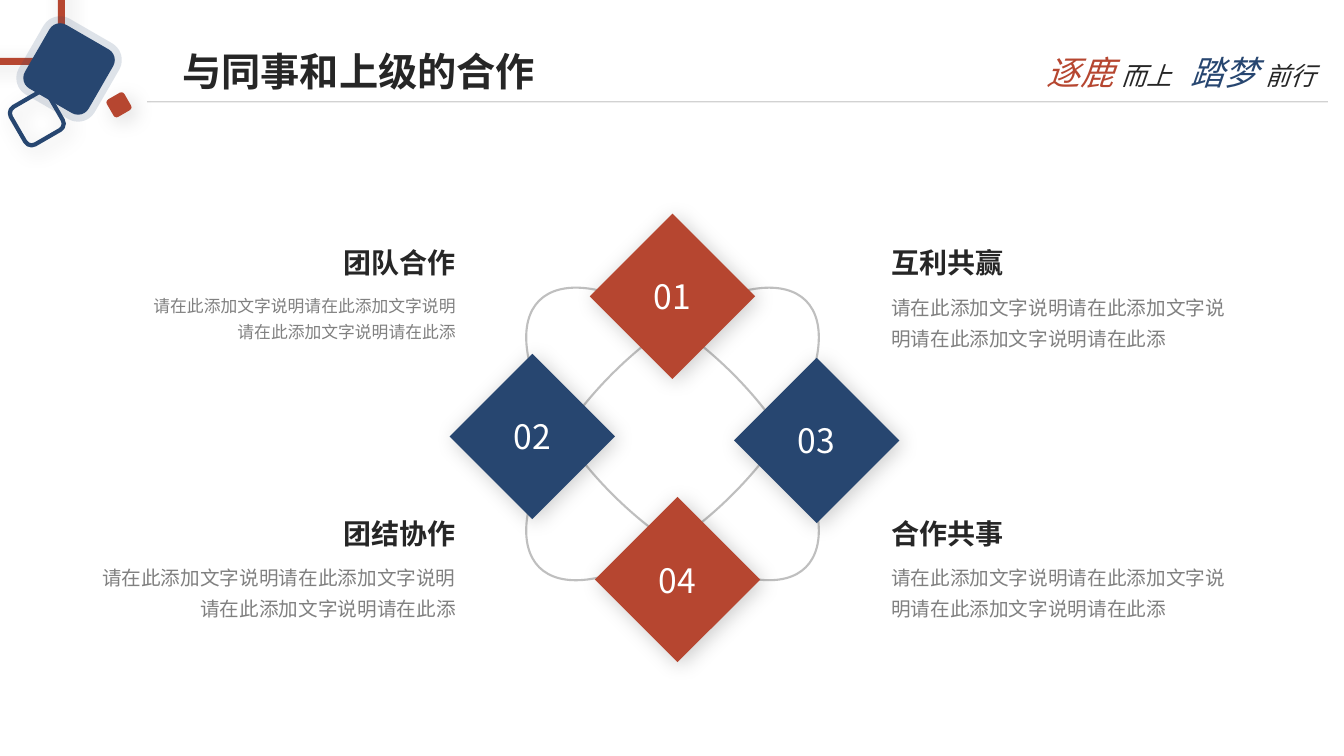
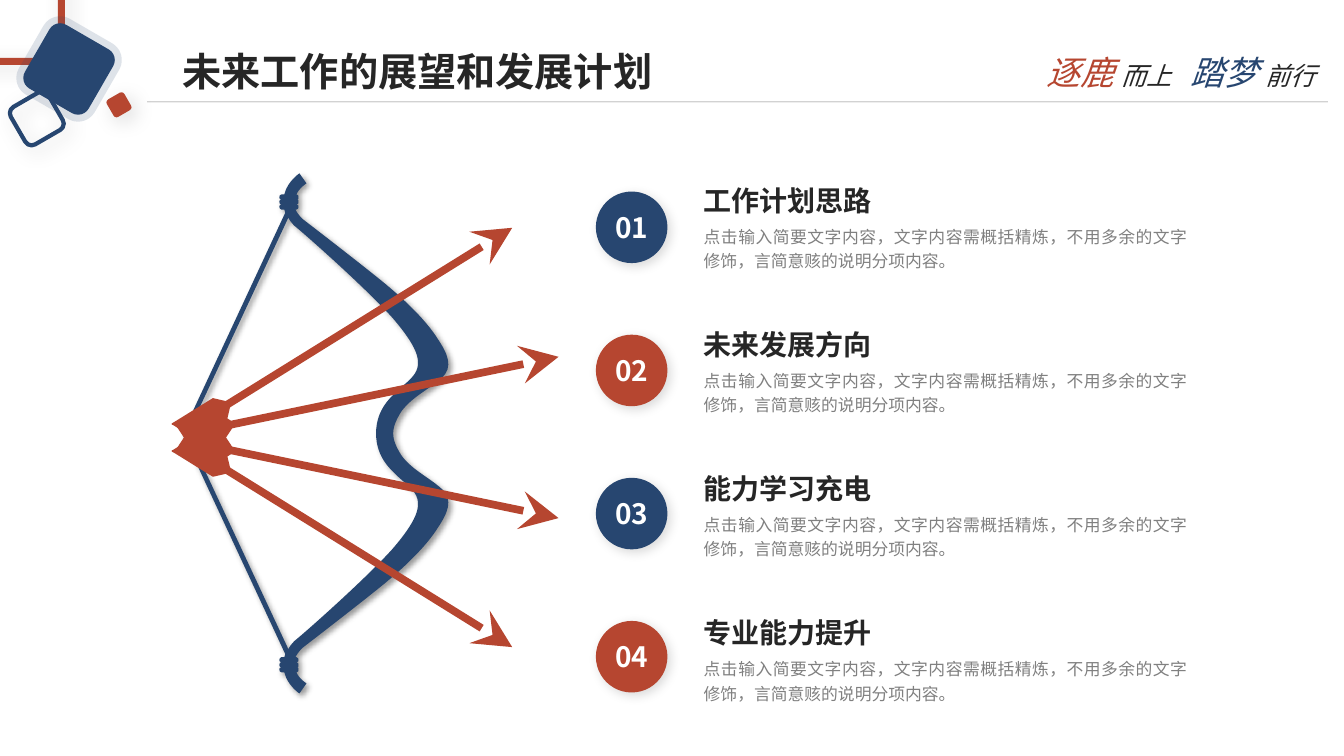
from math import atan2, degrees

from lxml.etree import SubElement
from pptx import Presentation
from pptx.dml.color import RGBColor
from pptx.enum.shapes import MSO_CONNECTOR, MSO_SHAPE
from pptx.enum.text import MSO_ANCHOR, MSO_AUTO_SIZE, PP_ALIGN
from pptx.oxml.ns import qn
from pptx.util import Pt

# Shared look; lengths are px, 100 to the inch
PX = 9144
FONT = "Noto Sans CJK SC"
RED, NAVY, INK, GRAY, RULE, WHITE = "B64630", "274670", "262626", "808080", "BFBFBF", "FFFFFF"
LEFT, CENTER, RIGHT, JUSTIFY = PP_ALIGN.LEFT, PP_ALIGN.CENTER, PP_ALIGN.RIGHT, PP_ALIGN.JUSTIFY
PADDING = (10, 5, 10, 5)

TITLE = {"size": 28, "bold": True, "color": INK}
HEADING = {"size": 20, "bold": True, "color": INK}
NUMBER = {"size": 24, "color": WHITE}
BADGE = {"size": 20, "bold": True, "color": WHITE}
BODY = {"size": 14, "color": GRAY}
SMALL = {"size": 12, "color": GRAY}

# Shadows: opacity %, blur pt, distance pt
SOFT, RULE_SHADOW = (15, 15, 5), (15, 5, 2)
DIAMOND_SHADOW, BADGE_SHADOW, BOW_SHADOW = (20, 15, 3), (15, 8, 3), (40, 4, 3)

# Header: box, rotation, fill, line (colour, width, opacity), shadow
HEADER_TILES = [
    ((-36, -36, 97, 97), 0, None, (RED, 5), SOFT),
    ((15, 96, 43, 43), 60, None, (NAVY, 3), SOFT),
    ((32, 32, 73, 73), 30, NAVY, (NAVY, 10, 15), None),
    ((108, 94, 20, 20), 60, RED, None, SOFT),
]
MOTTO = [("逐鹿 ", 24, RED), ("而上\t", 18, INK), ("踏梦 ", 24, NAVY), ("前行", 18, INK)]
MOTTO_TAB = 143

# Slide 1
COOPERATION = ("与同事和上级的合作", 372)
RINGS = (480, 346, 374, 169)
DIAMONDS = [("01", 585, 212, RED), ("03", 728, 355, NAVY),
            ("04", 590, 493, RED), ("02", 446, 351, NAVY)]
DIAMOND = 164
FILLER = ["请在此添加文字说明请在此添加文字说明请在此添加文字说明请在此添"]
SPLIT_FILLER = ["请在此添加文字说明请在此添加文字说明", "请在此添加文字说明请在此添"]
LEFT_EDGE, RIGHT_EDGE = 874, 462
TOPICS = [  # heading, top, alignment, paragraphs, style, box width and height
    ("合作共事", 507, LEFT, FILLER, BODY, 369, 68),
    ("互利共赢", 239, LEFT, FILLER, BODY, 369, 68),
    ("团结协作", 507, RIGHT, FILLER, BODY, 389, 68),
    ("团队合作", 239, RIGHT, SPLIT_FILLER, SMALL, 337, 63),
]

# Slide 2
OUTLOOK = ("未来工作的展望和发展计划", 502)
PLANS = ["工作计划思路", "未来发展方向", "能力学习充电", "专业能力提升"]
PLAN_TEXT = "点击输入简要文字内容，文字内容需概括精炼，不用多余的文字修饰，言简意赅的说明分项内容。"
ARROWS = [((508, 226), (189, 424), (173, 403)), ((554, 354), (187, 430), (173, 414))]
ARROW_AXIS, BOW_AXIS = 434, 430
# Upper half of the bow: pairs are corners, sixes are Bezier curves
BOW_OUTER = [
    (390, 430), (390, 428, 390, 420, 399, 407), (410, 393, 426, 386, 438, 375),
    (450, 364, 444, 351, 434, 336), (424, 320, 404, 299, 374, 275),
    (344, 251, 301, 218, 301, 218), (301, 218, 296, 214, 293, 208), (294, 208),
    (296, 208, 296, 206, 296, 205), (296, 204, 296, 203, 294, 203),
    (296, 203, 296, 202, 296, 200), (296, 199, 296, 198, 295, 198),
    (296, 198, 296, 197, 296, 196), (296, 194, 296, 193, 294, 193),
    (297, 186, 304, 182, 304, 182), (297, 172), (297, 172, 285, 180, 282, 193),
    (279, 193), (278, 193, 277, 194, 277, 196), (277, 197, 278, 198, 279, 198),
    (278, 198, 277, 199, 277, 200), (277, 202, 278, 203, 279, 203),
    (278, 203, 277, 204, 277, 205), (277, 206, 278, 208, 279, 208), (282, 208),
    (282, 209, 282, 210, 283, 211), (181, 430),
]
BOW_INNER = [
    (186, 430), (286, 216), (287, 218, 289, 221, 292, 224),
    (302, 232, 362, 285, 389, 315), (415, 345, 416, 357, 414, 365),
    (412, 373, 404, 379, 396, 386), (389, 393, 373, 405, 373, 430),
]


def px(*lengths):
    return [round(length * PX) for length in lengths]


def paint(color_format, value):
    color_format.rgb = RGBColor.from_string(value)


def add_element(parent, tag, **attributes):
    return SubElement(parent, qn(tag), {key: str(value) for key, value in attributes.items()})


def add_shadow(effects, shadow):
    opacity, blur, distance = shadow
    outer = add_element(effects, "a:outerShdw", blurRad=Pt(blur), dist=Pt(distance),
                        dir=45 * 60000, algn="tl", rotWithShape=0)
    color = add_element(outer, "a:srgbClr", val="000000")
    add_element(color, "a:alpha", val=opacity * 1000)


def paint_fill(fill, color):
    if color:
        fill.solid()
        paint(fill.fore_color, color)
    else:
        fill.background()


def style_line(shape, color, width, opacity=100):
    paint_fill(shape.line.fill, color)
    shape.line.width = Pt(width)
    if opacity < 100:
        for node in shape.element.spPr.find(qn("a:ln")).iter(qn("a:srgbClr")):
            add_element(node, "a:alpha", val=opacity * 1000)


def finish(shape, fill=None, line=None, shadow=None, rotation=0):
    paint_fill(shape.fill, fill)
    if line:
        style_line(shape, *line)
    else:
        shape.line.fill.background()
    shape.rotation = rotation
    shape.shadow.inherit = False
    if shadow:
        add_shadow(shape.element.spPr.find(qn("a:effectLst")), shadow)
    return shape


def add_preset(page, kind, box, **look):
    return finish(page.shapes.add_shape(kind, *px(*box)), **look)


def add_line(page, start, end, line, shadow=None, head=None):
    connector = page.shapes.add_connector(MSO_CONNECTOR.STRAIGHT, *px(*start, *end))
    style_line(connector, *line)
    if head:
        add_element(connector.element.spPr.find(qn("a:ln")), "a:headEnd", type=head, w="lg", len="lg")
    effects = add_element(connector.element.spPr, "a:effectLst")
    if shadow:
        add_shadow(effects, shadow)
    return connector


def add_span(para, text, style):
    span = para.add_run()
    span.text = text
    for name, value in style.items():
        if name == "color":
            paint(span.font.color, value)
        else:
            setattr(span.font, name, Pt(value) if name == "size" else value)
    span.font.name = FONT
    add_element(span.font._element, "a:ea", typeface=FONT)


def set_frame(frame, padding, anchor):
    sides = zip(("left", "top", "right", "bottom"), px(*padding))
    settings = {"word_wrap": True, "vertical_anchor": anchor, "auto_size": MSO_AUTO_SIZE.NONE}
    settings.update({f"margin_{side}": value for side, value in sides})
    for name, value in settings.items():
        setattr(frame, name, value)


def write(shape, texts, style, align=LEFT, spacing=None, padding=PADDING, anchor=MSO_ANCHOR.MIDDLE):
    frame = shape.text_frame
    set_frame(frame, padding, anchor)
    for index, text in enumerate(texts):
        para = frame.add_paragraph() if index else frame.paragraphs[0]
        para.alignment = align
        if spacing:
            para.line_spacing = spacing
        add_span(para, text, style)


def add_text(page, box, texts, style, **layout):
    shape = page.shapes.add_textbox(*px(*box))
    write(shape, texts, style, anchor=MSO_ANCHOR.TOP, **layout)
    shape.text_frame.auto_size = MSO_AUTO_SIZE.SHAPE_TO_FIT_TEXT


def add_page(deck, layout, title):
    page = deck.slides.add_slide(layout)
    text, width = title
    holder = page.shapes.title
    holder.left, holder.top, holder.width, holder.height = px(171, 33, width, 75)
    write(holder, [text], TITLE)
    return page


def add_header(page, layout):
    """Draw the shared header, then hand its parts to the layout."""
    parts = [add_line(page, (146, 101), (1317, 101), (RULE, 1, 70), RULE_SHADOW)]
    for box, rotation, fill, line, shadow in HEADER_TILES:
        parts.append(add_preset(page, MSO_SHAPE.ROUNDED_RECTANGLE, box, fill=fill,
                                line=line, shadow=shadow, rotation=rotation))
    motto = page.shapes.add_textbox(*px(1014, 47, 315, 50))
    set_frame(motto.text_frame, (24, 5, 0, 5), MSO_ANCHOR.TOP)
    para = motto.text_frame.paragraphs[0]
    tabs = add_element(para._p.get_or_add_pPr(), "a:tabLst")
    add_element(tabs, "a:tab", pos=MOTTO_TAB * PX, algn="l")
    for text, size, color in MOTTO:
        add_span(para, text, {"size": size, "color": color, "italic": True})
    for part in parts + [motto]:
        layout.shapes.element.append(part.element)


def trace(steps, axis):
    """List the control points of a half outline, then of its mirror image."""
    points = [steps[0]]
    for step in steps[1:]:
        corners = step * 3 if len(step) == 2 else step
        points += zip(corners[::2], corners[1::2])
    return points + [(x, 2 * axis - y) for x, y in points[-2::-1]]


def add_bow(page):
    outer, inner = (trace(steps, BOW_AXIS) for steps in (BOW_OUTER, BOW_INNER))
    builder = page.shapes.build_freeform(*px(*outer[0]))
    builder.add_line_segments([px(*point) for point in outer[1:]], close=True)
    builder.move_to(*px(*inner[0]))
    builder.add_line_segments([px(*point) for point in inner[1:]], close=True)
    bow = finish(builder.convert_to_shape(), fill=NAVY, shadow=BOW_SHADOW)
    # Every three straight steps become one Bezier curve
    steps = list(bow.element.spPr.iter(qn("a:lnTo")))
    for first in range(0, len(steps), 3):
        curve = add_element(steps[first].getparent(), "a:cubicBezTo")
        steps[first].addprevious(curve)
        for step in steps[first:first + 3]:
            curve.append(step[0])
            step.getparent().remove(step)


def add_arrow(page, tip, tail, feather):
    add_line(page, tip, tail, (RED, 5.5), head="stealth")
    angle = degrees(atan2(tip[1] - tail[1], tip[0] - tail[0]))
    add_preset(page, MSO_SHAPE.CHEVRON, (*feather, 60, 25), fill=RED, line=(RED, 1),
               rotation=round(angle, 1))


def fill_cooperation(page):
    for rotation in (45, 135):
        add_preset(page, MSO_SHAPE.OVAL, RINGS, line=(RULE, 1.5), rotation=rotation)
    for number, left, top, color in DIAMONDS:
        diamond = add_preset(page, MSO_SHAPE.FLOWCHART_DECISION, (left, top, DIAMOND, DIAMOND),
                             fill=color, shadow=DIAMOND_SHADOW)
        write(diamond, [number], NUMBER, align=CENTER)
    for heading, top, align, texts, style, width, height in TOPICS:
        rows = [(top, 207, 44, [heading], HEADING, None), (top + 43, width, height, texts, style, 1.3)]
        for row_top, row_width, row_height, row_texts, row_style, spacing in rows:
            left = LEFT_EDGE if align == LEFT else RIGHT_EDGE - row_width
            add_text(page, (left, row_top, row_width, row_height), row_texts, row_style,
                     align=align, spacing=spacing)


def fill_outlook(page):
    flush = (0, 0, 0, 0)
    for index, heading in enumerate(PLANS):
        top = 182 + 143 * index
        add_text(page, (698, top, 186, 34), [heading], HEADING, padding=flush)
        add_text(page, (698, top + 39, 480, 46), [PLAN_TEXT], SMALL,
                 align=JUSTIFY, spacing=1.2, padding=flush)
        badge = add_preset(page, MSO_SHAPE.OVAL, (591, 190 + 142 * index, 71, 71),
                           fill=(NAVY, RED)[index % 2], shadow=BADGE_SHADOW)
        write(badge, [f"{index + 1:02}"], BADGE, align=CENTER, padding=flush)
    add_bow(page)
    for tip, tail, feather in ARROWS:
        add_arrow(page, tip, tail, feather)
    for tip, tail, feather in ARROWS:
        lower_tip, lower_tail = ((x, 2 * ARROW_AXIS - y) for x, y in (tip, tail))
        add_arrow(page, lower_tip, lower_tail, (feather[0], 2 * ARROW_AXIS - feather[1] - 25))


def main():
    deck = Presentation()
    deck.slide_width, deck.slide_height = px(1333, 750)
    layout = deck.slide_layouts[5]
    for holder in list(layout.placeholders)[1:]:
        layout.shapes.element.remove(holder.element)
    cooperation = add_page(deck, layout, COOPERATION)
    add_header(cooperation, layout)
    fill_cooperation(cooperation)
    fill_outlook(add_page(deck, layout, OUTLOOK))
    deck.save("out.pptx")


if __name__ == "__main__":
    main()
